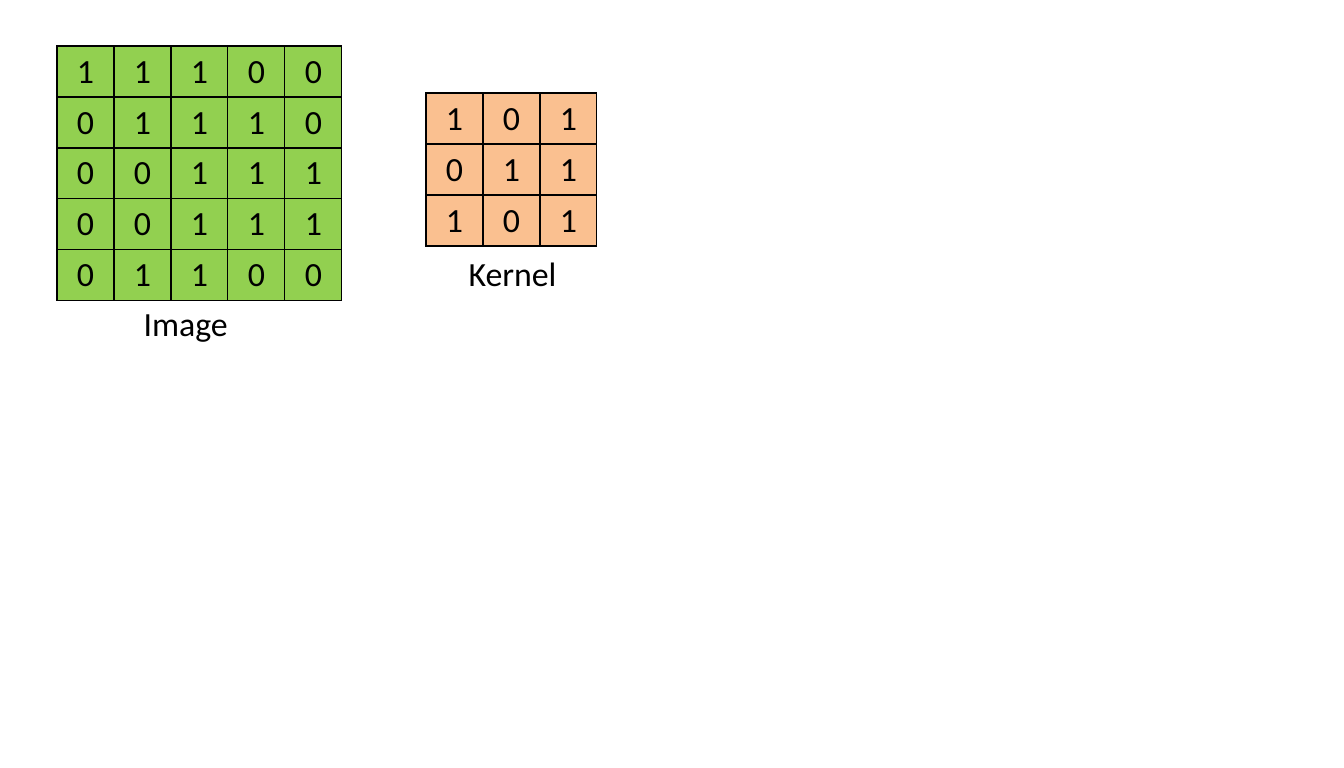
from lxml import etree
from pptx import Presentation
from pptx import util as u
from pptx.dml.color import RGBColor
from pptx.enum import text
from pptx.oxml.ns import qn

PX = 914400 / 97.5
COLORS = {"ink": "000000", "image": "92D050", "kernel": "FAC090"}
CELL_WIDTH, CELL_HEIGHT = 57, 51
IMAGE = ["11100", "01110", "00111", "00111", "01100"]
KERNEL = ["101", "011", "101"]


def px(length):
    return u.Emu(round(length * PX))


def write_text(frame, content, size=25, font="Calibri", color="ink", align=text.PP_ALIGN.LEFT):
    paragraph = frame.paragraphs[0]
    paragraph.alignment = align
    run = paragraph.add_run()
    run.text = content
    run.font.size = u.Pt(size)
    run.font.name = font
    run.font.color.rgb = RGBColor.from_string(COLORS[color])


def add_borders(cell, color="ink", width=1):
    properties = cell._tc.get_or_add_tcPr()
    for position, side in enumerate(("a:lnL", "a:lnR", "a:lnT", "a:lnB")):
        line = etree.Element(qn(side), w=str(u.Pt(width)))
        fill = etree.SubElement(line, qn("a:solidFill"))
        etree.SubElement(fill, qn("a:srgbClr"), val=COLORS[color])
        properties.insert(position, line)


def add_matrix(slide, left, top, values, fill):
    rows, columns = len(values), len(values[0])
    frame = slide.shapes.add_table(
        rows, columns, px(left), px(top), px(columns * CELL_WIDTH), px(rows * CELL_HEIGHT)
    )
    table = frame.table
    table.first_row = table.horz_banding = False
    for column in table.columns:
        column.width = px(CELL_WIDTH)
    for row, digits in zip(table.rows, values):
        row.height = px(CELL_HEIGHT)
        for cell, digit in zip(row.cells, digits):
            cell.margin_top = cell.margin_bottom = px(4)
            cell.vertical_anchor = text.MSO_ANCHOR.MIDDLE
            cell.fill.solid()
            cell.fill.fore_color.rgb = RGBColor.from_string(COLORS[fill])
            add_borders(cell)
            write_text(cell.text_frame, digit, align=text.PP_ALIGN.CENTER)


def add_label(slide, left, top, width, height, content):
    frame = slide.shapes.add_textbox(px(left), px(top), px(width), px(height)).text_frame
    frame.word_wrap = False
    frame.auto_size = text.MSO_AUTO_SIZE.SHAPE_TO_FIT_TEXT
    write_text(frame, content)


def add_labelled_matrix(slide, left, top, values, fill, label, indent, gap, label_width):
    add_matrix(slide, left, top, values, fill)
    label_top = top + len(values) * CELL_HEIGHT + gap
    add_label(slide, left + indent, label_top, label_width, CELL_HEIGHT, label)


def main():
    presentation = Presentation()
    presentation.slide_width = px(1344)
    presentation.slide_height = px(768)
    slide = presentation.slides.add_slide(presentation.slide_layouts[6])
    add_labelled_matrix(slide, 57, 46, IMAGE, "image", "Image", 77, -3, 105)
    add_labelled_matrix(slide, 426, 93, KERNEL, "kernel", "Kernel", 33, 2, 109)
    presentation.save("out.pptx")


if __name__ == "__main__":
    main()
